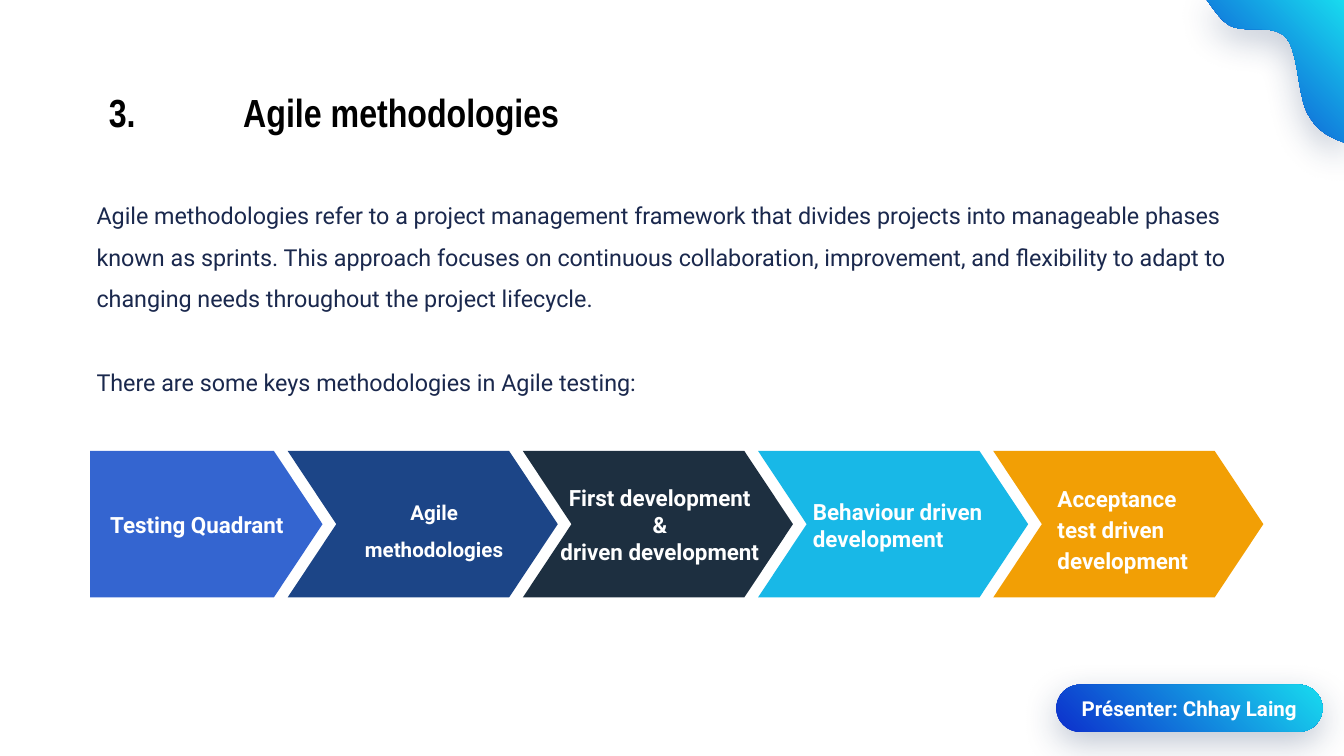
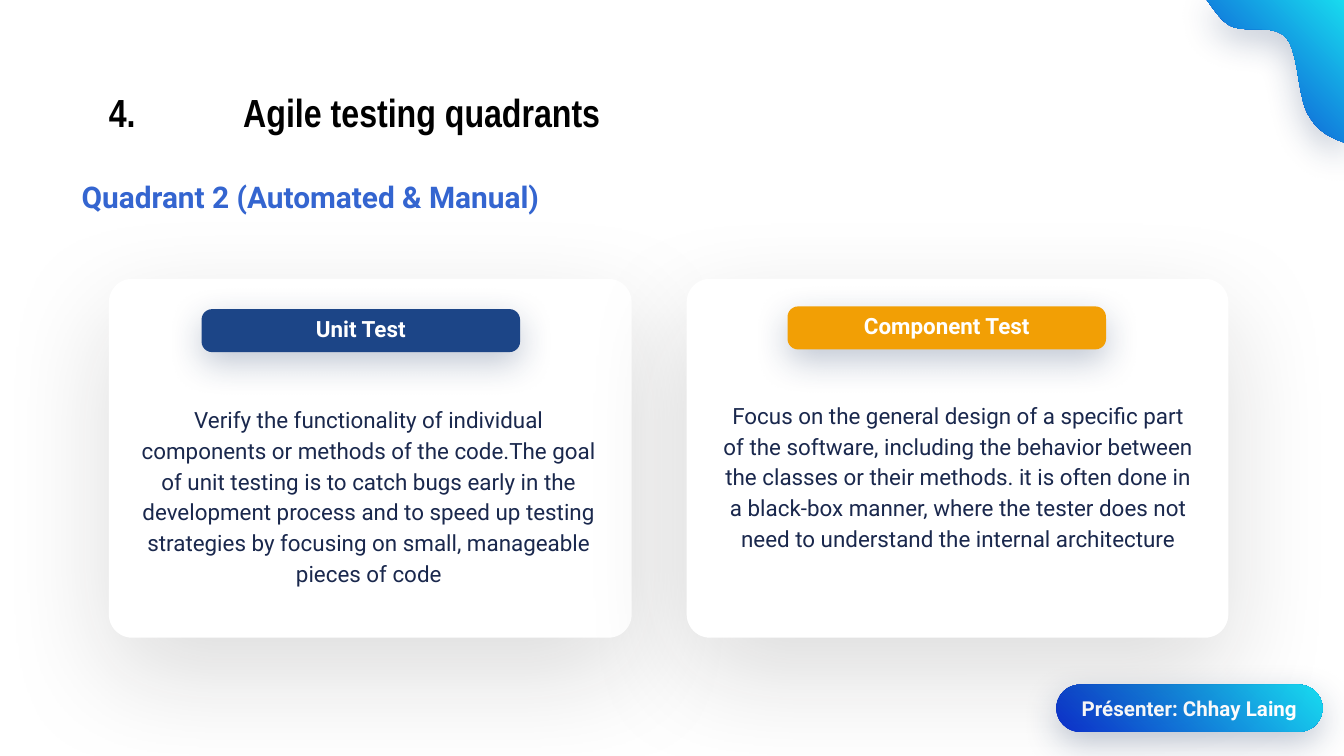
"""Build two slides on agile methodologies and agile testing quadrants."""
from dataclasses import dataclass
from typing import NamedTuple

import lxml.etree
import pptx
import pptx.dml.color
import pptx.enum.shapes
import pptx.enum.text
import pptx.oxml.ns
import pptx.presentation
import pptx.shapes.autoshape
import pptx.slide
import pptx.text.text
import pptx.util

RGBColor = pptx.dml.color.RGBColor
WHITE = RGBColor(0xFF, 0xFF, 0xFF)
BLACK = RGBColor(0x00, 0x00, 0x00)
INK = RGBColor(0x1A, 0x28, 0x4D)
ROYAL = RGBColor(0x34, 0x65, 0xD0)
NAVY = RGBColor(0x1C, 0x45, 0x87)
SLATE = RGBColor(0x1D, 0x2F, 0x40)
SKY = RGBColor(0x18, 0xB8, 0xE7)
ORANGE = RGBColor(0xF2, 0x9F, 0x05)
GRADIENT = (RGBColor(0x0C, 0x2F, 0xCC), RGBColor(0x18, 0xDB, 0xEF))

CELL = pptx.util.Inches(0.1)
GRID_COLUMNS, GRID_ROWS = 100, 56.25

SHAPES = pptx.enum.shapes.MSO_SHAPE
LEFT = pptx.enum.text.PP_ALIGN.LEFT
CENTER = pptx.enum.text.PP_ALIGN.CENTER
TOP = pptx.enum.text.MSO_ANCHOR.TOP
MIDDLE = pptx.enum.text.MSO_ANCHOR.MIDDLE


class Box(NamedTuple):
    """A rectangle in grid columns and rows."""
    column: float
    row: float
    columns: float
    rows: float


class Shadow(NamedTuple):
    """A shadow cast downwards: opacity in percent, lengths in points."""
    color: RGBColor
    opacity: int
    blur: float
    distance: float


@dataclass(frozen=True)
class TextStyle:
    """How a block of text looks."""
    size: float
    color: RGBColor = WHITE
    bold: bool = True
    font: str = "Roboto"
    alignment: pptx.enum.text.PP_ALIGN = CENTER
    anchor: pptx.enum.text.MSO_ANCHOR = MIDDLE
    line_spacing: float = 1.0
    space_before: float = 0
    space_after: float = 0
    inset: float = 0.1


@dataclass(frozen=True)
class Step:
    """One arrow of the process and its label."""
    paragraphs: tuple[str, ...]
    color: RGBColor
    label_box: Box
    style: TextStyle


@dataclass(frozen=True)
class Card:
    """A white card with a coloured tag and a description."""
    box: Box
    tag_box: Box
    tag: str
    color: RGBColor
    description_box: Box
    description: str


SOFT_SHADOW = Shadow(RGBColor(0x1F, 0x38, 0x64), 28, 19, 6)
CARD_SHADOW = Shadow(RGBColor(0x17, 0x16, 0x16), 15, 60, 20)

TITLE = TextStyle(21, BLACK, font="Arial Narrow", alignment=LEFT, line_spacing=0.9)
PRESENTER = TextStyle(11, inset=0.05)
SUBTITLE = TextStyle(16, ROYAL, alignment=LEFT, anchor=TOP)
BODY = TextStyle(12.5, INK, bold=False, alignment=LEFT, anchor=TOP,
                 line_spacing=1.5, space_before=22.4)
TAG = TextStyle(12, line_spacing=0.8, inset=0.05)
DESCRIPTION = TextStyle(12, INK, bold=False, anchor=TOP, line_spacing=1.15, space_after=10)
STEP_CENTER = TextStyle(12)

TITLE_BOX = Box(7.1, 5.9, 67.8, 5.3)
TITLE_TAB = 10
PRESENTER_BOX = Box(78.6, 50.95, 19.8, 3.5)

CORNER_START = (89.8, 0)
CORNER_CURVES = (
    ((90.3, 0.7), (90.8, 1.4), (91.2, 1.7)),
    ((92.3, 2.7), (94.6, 1.6), (95.7, 2.8)),
    ((96.7, 4.0), (96.5, 7.5), (97.5, 8.8)),
    ((98.1, 9.8), (99.1, 10.3), (100, 10.6)),
)
CURVE_PIECES = 12

STEP_LEFT, STEP_TOP, STEP_PITCH = 3.9, 33.55, 17.5
STEP_COLUMNS, STEP_ROWS, STEP_POINT = 20.1, 10.9, 3.62
FIRST_STEP_TRIM = 2.8

STEPS = (
    Step(("Testing Quadrant",), ROYAL, Box(6.75, 35.9, 15.8, 6.3), STEP_CENTER),
    Step(("Agile methodologies",), NAVY, Box(24.4, 35.9, 15.8, 6.3),
         TextStyle(11, line_spacing=1.5)),
    Step(("First development", "&\ndriven development"), SLATE,
         Box(39.9, 35.9, 18.4, 6.3), STEP_CENTER),
    Step(("Behaviour driven development",), SKY, Box(59.5, 35.9, 17.3, 6.3),
         TextStyle(12, alignment=LEFT)),
    Step(("Acceptance test driven development",), ORANGE, Box(77.7, 33.5, 12.6, 11.5),
         TextStyle(12, alignment=LEFT, line_spacing=1.15)),
)

INTRODUCTION = (
    "Agile methodologies refer to a project management framework that divides projects into "
    "manageable phases known as sprints. This approach focuses on continuous collaboration, "
    "improvement, and flexibility to adapt to changing needs throughout the project lifecycle.",
    "There are some keys methodologies in Agile testing:",
)

CARDS = (
    Card(Box(8.1, 20.75, 38.9, 26.7), Box(15, 23, 23.7, 3.2), "Unit Test", NAVY,
         Box(9.1, 28.9, 36.7, 17.8),
         "Verify the functionality of individual components or methods of the code."
         "The goal of unit testing is to catch bugs early in the development process and to "
         "speed up testing strategies by focusing on small, manageable pieces of code"),
    Card(Box(51.1, 20.75, 40.3, 26.7), Box(58.6, 22.8, 23.7, 3.2), "Component Test", ORANGE,
         Box(52.7, 28.6, 37.2, 18.1),
         "Focus on the general design of a specific part of the software, including the "
         "behavior between the classes or their methods. it is often done in a black-box "
         "manner, where the tester does not need to understand the internal architecture"),
)


def cells(count: float) -> pptx.util.Emu:
    """Return the length of a number of grid cells."""
    return pptx.util.Emu(round(count * CELL))


def write_text(frame: pptx.text.text.TextFrame, paragraphs: tuple[str, ...],
               style: TextStyle) -> None:
    """Fill a text frame with paragraphs; a newline becomes a line break."""
    frame.word_wrap = True
    frame.auto_size = pptx.enum.text.MSO_AUTO_SIZE.NONE
    frame.vertical_anchor = style.anchor
    frame.margin_left = frame.margin_right = pptx.util.Inches(0.1)
    frame.margin_top = frame.margin_bottom = pptx.util.Inches(style.inset)
    for index, text in enumerate(paragraphs):
        paragraph = frame.add_paragraph() if index else frame.paragraphs[0]
        paragraph.alignment = style.alignment
        paragraph.line_spacing = style.line_spacing
        paragraph.space_before = pptx.util.Pt(style.space_before if index else 0)
        paragraph.space_after = pptx.util.Pt(style.space_after)
        for line_number, line in enumerate(text.split("\n")):
            if line_number:
                paragraph.add_line_break()
            run = paragraph.add_run()
            run.text = line
            run.font.name = style.font
            run.font.size = pptx.util.Pt(style.size)
            run.font.bold = style.bold
            run.font.color.rgb = style.color


def add_text(slide: pptx.slide.Slide, box: Box, paragraphs: tuple[str, ...],
             style: TextStyle) -> None:
    """Add a text box."""
    text_box = slide.shapes.add_textbox(*map(cells, box))
    write_text(text_box.text_frame, paragraphs, style)


def finish_shape(shape: pptx.shapes.autoshape.Shape, color: RGBColor | None,
                 shadow: Shadow | None = None) -> None:
    """Remove the outline, fill with a colour or the gradient, and set the shadow."""
    shape.line.fill.background()
    if color is None:
        shape.fill.gradient()
        shape.fill.gradient_angle = 45
        for stop, stop_color in zip(shape.fill.gradient_stops, GRADIENT):
            stop.color.rgb = stop_color
    else:
        shape.fill.solid()
        shape.fill.fore_color.rgb = color
    shape.shadow.inherit = False
    if shadow:
        qn = pptx.oxml.ns.qn
        effects = shape._element.spPr.find(qn("a:effectLst"))
        outer = lxml.etree.SubElement(
            effects, qn("a:outerShdw"), blurRad=str(pptx.util.Pt(shadow.blur)),
            dist=str(pptx.util.Pt(shadow.distance)), dir="5400000", algn="t", rotWithShape="0")
        color_element = lxml.etree.SubElement(outer, qn("a:srgbClr"), val=str(shadow.color))
        lxml.etree.SubElement(color_element, qn("a:alpha"), val=str(shadow.opacity * 1000))


def add_preset(slide: pptx.slide.Slide, kind: pptx.enum.shapes.MSO_SHAPE, box: Box,
               adjustment: float, color: RGBColor | None,
               shadow: Shadow | None = None) -> pptx.shapes.autoshape.Shape:
    """Add a preset shape with one adjustment."""
    shape = slide.shapes.add_shape(kind, *map(cells, box))
    shape.adjustments[0] = adjustment
    finish_shape(shape, color, shadow)
    return shape


def add_corner(slide: pptx.slide.Slide) -> None:
    """Draw the wavy gradient in the top right corner."""
    points = [CORNER_START]
    for first, second, end in CORNER_CURVES:
        start = points[-1]
        for piece in range(1, CURVE_PIECES + 1):
            t = piece / CURVE_PIECES
            weights = ((1 - t) ** 3, 3 * t * (1 - t) ** 2, 3 * t ** 2 * (1 - t), t ** 3)
            points.append(tuple(
                sum(weight * value for weight, value in zip(weights, values))
                for values in zip(start, first, second, end)))
    points.append((GRID_COLUMNS, 0))
    outline = [(cells(column), cells(row)) for column, row in points]
    builder = slide.shapes.build_freeform(*outline[0])
    builder.add_line_segments(outline[1:], close=True)
    finish_shape(builder.convert_to_shape(), None, SOFT_SHADOW)


def add_slide(presentation: pptx.presentation.Presentation, title: str) -> pptx.slide.Slide:
    """Add a slide with its title, corner and presenter badge."""
    slide = presentation.slides.add_slide(presentation.slide_layouts[5])
    heading = slide.shapes.title
    heading.left, heading.top, heading.width, heading.height = map(cells, TITLE_BOX)
    write_text(heading.text_frame, (title,), TITLE)
    qn = pptx.oxml.ns.qn
    properties = heading.text_frame.paragraphs[0]._p.get_or_add_pPr()
    tabs = lxml.etree.SubElement(properties, qn("a:tabLst"))
    lxml.etree.SubElement(tabs, qn("a:tab"), pos=str(cells(TITLE_TAB)), algn="l")
    add_corner(slide)
    badge = add_preset(slide, SHAPES.ROUNDED_RECTANGLE, PRESENTER_BOX, 0.5, None, SOFT_SHADOW)
    write_text(badge.text_frame, ("Présenter: Chhay Laing",), PRESENTER)
    return slide


def add_steps(slide: pptx.slide.Slide) -> None:
    """Draw the row of arrows, the first one with a flat left side."""
    for index, step in enumerate(STEPS):
        trim = 0 if index else FIRST_STEP_TRIM
        box = Box(STEP_LEFT + index * STEP_PITCH + trim, STEP_TOP,
                  STEP_COLUMNS - trim, STEP_ROWS)
        kind = SHAPES.CHEVRON if index else SHAPES.PENTAGON
        add_preset(slide, kind, box, STEP_POINT / STEP_ROWS, step.color)
    for step in STEPS:
        add_text(slide, step.label_box, step.paragraphs, step.style)


def add_card(slide: pptx.slide.Slide, card: Card) -> None:
    """Draw a card with its tag and description."""
    add_preset(slide, SHAPES.ROUNDED_RECTANGLE, card.box, 0.065, WHITE, CARD_SHADOW)
    tag = add_preset(slide, SHAPES.ROUNDED_RECTANGLE, card.tag_box, 0.245, card.color,
                     SOFT_SHADOW)
    write_text(tag.text_frame, (card.tag,), TAG)
    add_text(slide, card.description_box, (card.description,), DESCRIPTION)


def main() -> None:
    """Build and save the presentation."""
    presentation = pptx.Presentation()
    presentation.slide_width = cells(GRID_COLUMNS)
    presentation.slide_height = cells(GRID_ROWS)

    methodologies = add_slide(presentation, "3.\tAgile methodologies")
    add_text(methodologies, Box(6.2, 12.9, 90.7, 19.3), INTRODUCTION, BODY)
    add_steps(methodologies)

    quadrants = add_slide(presentation, "4.\tAgile testing quadrants")
    add_text(quadrants, Box(5.1, 12.3, 36.3, 4.7), ("Quadrant 2 (Automated & Manual)",), SUBTITLE)
    for card in CARDS:
        add_card(quadrants, card)

    presentation.save("out.pptx")


if __name__ == "__main__":
    main()
